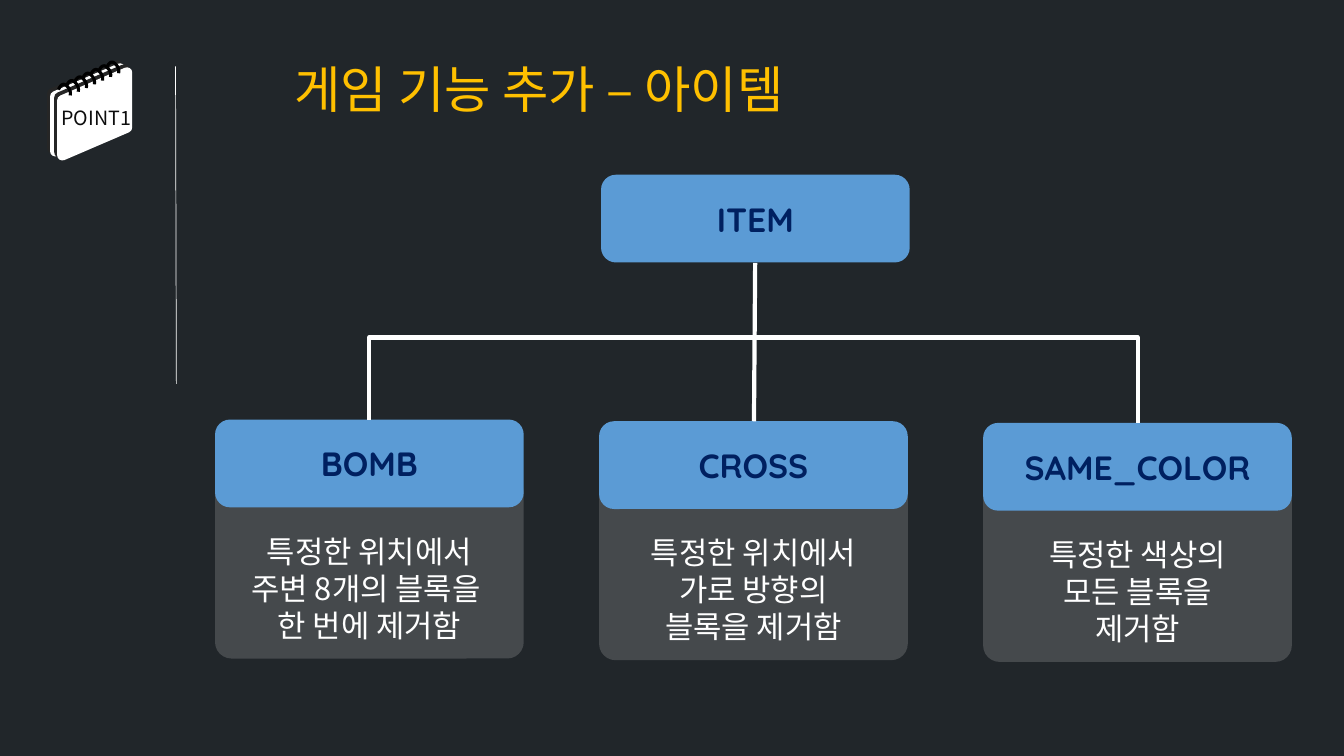
from dataclasses import dataclass

from lxml import etree
from pptx import Presentation
from pptx import util as u
from pptx.dml.color import RGBColor
from pptx.enum import shapes, text
from pptx.oxml import ns

COLUMNS, ROWS = 160, 90
WHITE, BLACK, PANEL, BLUE, NAVY = "FFFFFF", "000000", "45494C", "5B9BD5", "002060"
KOREAN, LATIN, HEADING = "Noto Sans CJK KR", "Noto Sans CJK SC", "Quicksand"
CARD_WIDTH, HEAD_HEIGHT, BODY_HEIGHT = 36.75, 10.45, 21.75
CARD_LEFT, CARD_TOP, CARD_STEP, CARD_DRIFT, BODY_DROP = 25.6, 49.95, 45.72, 0.2, 6.7
BUS_ROW = 40.2
COIL = [(0, 0.72), (0.18, 0.26), (0.48, 0), (0.74, 0.1), (1, 0.22), (1.54, 0.7), (1.4, 1.4)]

presentation = Presentation()
presentation.slide_width = u.Inches(13.33)
presentation.slide_height = u.Inches(7.5)
slide = presentation.slides.add_slide(presentation.slide_layouts[6])


@dataclass(frozen=True)
class Box:
    column: float
    row: float
    width: float
    height: float

    def lengths(self) -> tuple:
        return (across(self.column), down(self.row), across(self.width), down(self.height))


@dataclass(frozen=True)
class Style:
    font: str
    size: float
    color: str
    bold: bool = False
    spacing: float | None = 1.2
    align: text.PP_ALIGN = text.PP_ALIGN.CENTER


@dataclass(frozen=True)
class Card:
    title: str
    lines: tuple


HEAD_STYLE = Style(HEADING, 24, NAVY, True, None)
BODY_STYLE = Style(KOREAN, 22, WHITE)
CARDS = [
    Card("BOMB", ("특정한 위치에서", "주변 8개의 블록을 ", "한 번에 제거함")),
    Card("CROSS", ("특정한 위치에서", "가로 방향의", "블록을 제거함")),
    Card("SAME_COLOR", ("특정한 색상의", "모든 블록을", "제거함")),
]


def across(columns: float) -> int:
    return round(presentation.slide_width * columns / COLUMNS)


def down(rows: float) -> int:
    return round(presentation.slide_height * rows / ROWS)


def paint(fill, color: str) -> None:
    fill.solid()
    fill.fore_color.rgb = RGBColor.from_string(color)


def outline(shape, color: str, points: float) -> None:
    paint(shape.line.fill, color)
    shape.line.width = u.Pt(points)


def write(frame, lines: tuple, style: Style) -> None:
    for index, line in enumerate(lines):
        paragraph = frame.add_paragraph() if index else frame.paragraphs[0]
        paragraph.alignment = style.align
        if style.spacing:
            paragraph.line_spacing = u.Pt(style.size * style.spacing)
        run = paragraph.add_run()
        run.text = line
        run.font.size = u.Pt(style.size)
        run.font.bold = style.bold
        run.font.name = style.font
        paint(run.font.fill, style.color)
        properties = run.font._element
        etree.SubElement(properties, ns.qn("a:ea"), typeface=style.font)


def add_label(box: Box, line: str, style: Style, wrap: bool) -> None:
    frame = slide.shapes.add_textbox(*box.lengths()).text_frame
    frame.word_wrap = wrap
    write(frame, (line,), style)


def add_panel(box: Box, fill: str, lines: tuple, style: Style,
              corner: float = 0.17, inset: float = 0.6) -> None:
    shape = slide.shapes.add_shape(shapes.MSO_SHAPE.ROUNDED_RECTANGLE, *box.lengths())
    shape.shadow.inherit = False
    shape.adjustments[0] = corner
    paint(shape.fill, fill)
    shape.line.fill.background()
    frame = shape.text_frame
    frame.word_wrap = True
    frame.vertical_anchor = text.MSO_ANCHOR.MIDDLE
    frame.margin_top = down(inset)
    write(frame, lines, style)


def add_line(kind, start: tuple, end: tuple, points: float):
    connector = slide.shapes.add_connector(
        kind, across(start[0]), down(start[1]), across(end[0]), down(end[1]))
    outline(connector, WHITE, points)
    etree.SubElement(connector._element.spPr, ns.qn("a:effectLst"))
    return connector


def add_page(box: Box) -> None:
    page = slide.shapes.add_shape(shapes.MSO_SHAPE.PARALLELOGRAM, *box.lengths())
    page.adjustments[0] = 0.43
    page.rotation = 90
    paint(page.fill, WHITE)
    outline(page, WHITE, 7.5)
    properties = page._element.spPr
    properties.find(ns.qn("a:xfrm")).set("flipH", "1")
    etree.SubElement(properties.find(ns.qn("a:ln")), ns.qn("a:round"))
    effects = etree.SubElement(properties, ns.qn("a:effectLst"))
    shadow = etree.SubElement(effects, ns.qn("a:outerShdw"), blurRad="0",
                              dist=str(u.Pt(3)), dir=str(225 * 60000), rotWithShape="0")
    etree.SubElement(shadow, ns.qn("a:srgbClr"), val="262626")


def curve(controls: list, steps: int = 8) -> list:
    points = []
    for step in range(steps + 1):
        t = step / steps
        weights = ((1 - t) ** 3, 3 * t * (1 - t) ** 2, 3 * t * t * (1 - t), t ** 3)
        points.append(tuple(sum(w * c[axis] for w, c in zip(weights, controls))
                            for axis in (0, 1)))
    return points


def add_coil(column: float, row: float) -> None:
    points = [(across(column + x), down(row + y))
              for x, y in curve(COIL[:4]) + curve(COIL[3:])[1:]]
    builder = slide.shapes.build_freeform(*points[0])
    builder.add_line_segments(points[1:], close=False)
    coil = builder.convert_to_shape()
    coil.shadow.inherit = False
    coil.fill.background()
    outline(coil, BLACK, 2.25)


def add_bus() -> None:
    span, drop = 2 * CARD_STEP, 2 * CARD_DRIFT
    center = CARD_LEFT + CARD_WIDTH / 2 + CARD_STEP
    middle = CARD_TOP + CARD_DRIFT
    bus = add_line(shapes.MSO_CONNECTOR.ELBOW, (center - drop / 2, middle - span / 2),
                   (center + drop / 2, middle + span / 2), 3)
    properties = bus._element.spPr
    frame = properties.find(ns.qn("a:xfrm"))
    frame.set("rot", str(270 * 60000))
    frame.set("flipH", "1")
    bend = round(-100000 * (CARD_TOP - BUS_ROW) / drop)
    guides = properties.find(ns.qn("a:prstGeom")).get_or_add_avLst()
    etree.SubElement(guides, ns.qn("a:gd"), name="adj1", fmla=f"val {bend}")


def main() -> None:
    paint(slide.background.fill, "21262A")
    add_line(shapes.MSO_CONNECTOR.STRAIGHT, (20.9, 7.9), (21, 45.7), 0.5)
    for column, row in ((5.52, 9.24), (6.36, 9.72)):
        add_page(Box(column, row, 9.84, 7.68))
    for index in range(7):
        add_coil(12.72 - 0.96 * index, 7.32 + 0.44 * index)
    add_label(Box(5.88, 12.06, 11.16, 4.08), "POINT1", Style(LATIN, 14, "0D0D0D"), False)
    title_style = Style(KOREAN, 36, "FFC000", align=text.PP_ALIGN.LEFT)
    add_label(Box(33.84, 6.3, 109.56, 8.52), "게임 기능 추가 – 아이템", title_style, True)

    for index, card in enumerate(CARDS):
        left, top = CARD_LEFT + CARD_STEP * index, CARD_TOP + CARD_DRIFT * index
        add_panel(Box(left, top + BODY_DROP, CARD_WIDTH, BODY_HEIGHT), PANEL,
                  card.lines, BODY_STYLE, 0.09, 5.5)
        add_panel(Box(left, top, CARD_WIDTH, HEAD_HEIGHT), BLUE, (card.title,), HEAD_STYLE)

    add_line(shapes.MSO_CONNECTOR.STRAIGHT, (89.76, 50.15), (89.9, 31.3), 3)
    add_panel(Box(71.55, 20.8, CARD_WIDTH, HEAD_HEIGHT), BLUE, ("ITEM",), HEAD_STYLE)
    add_bus()
    presentation.save("out.pptx")


if __name__ == "__main__":
    main()
